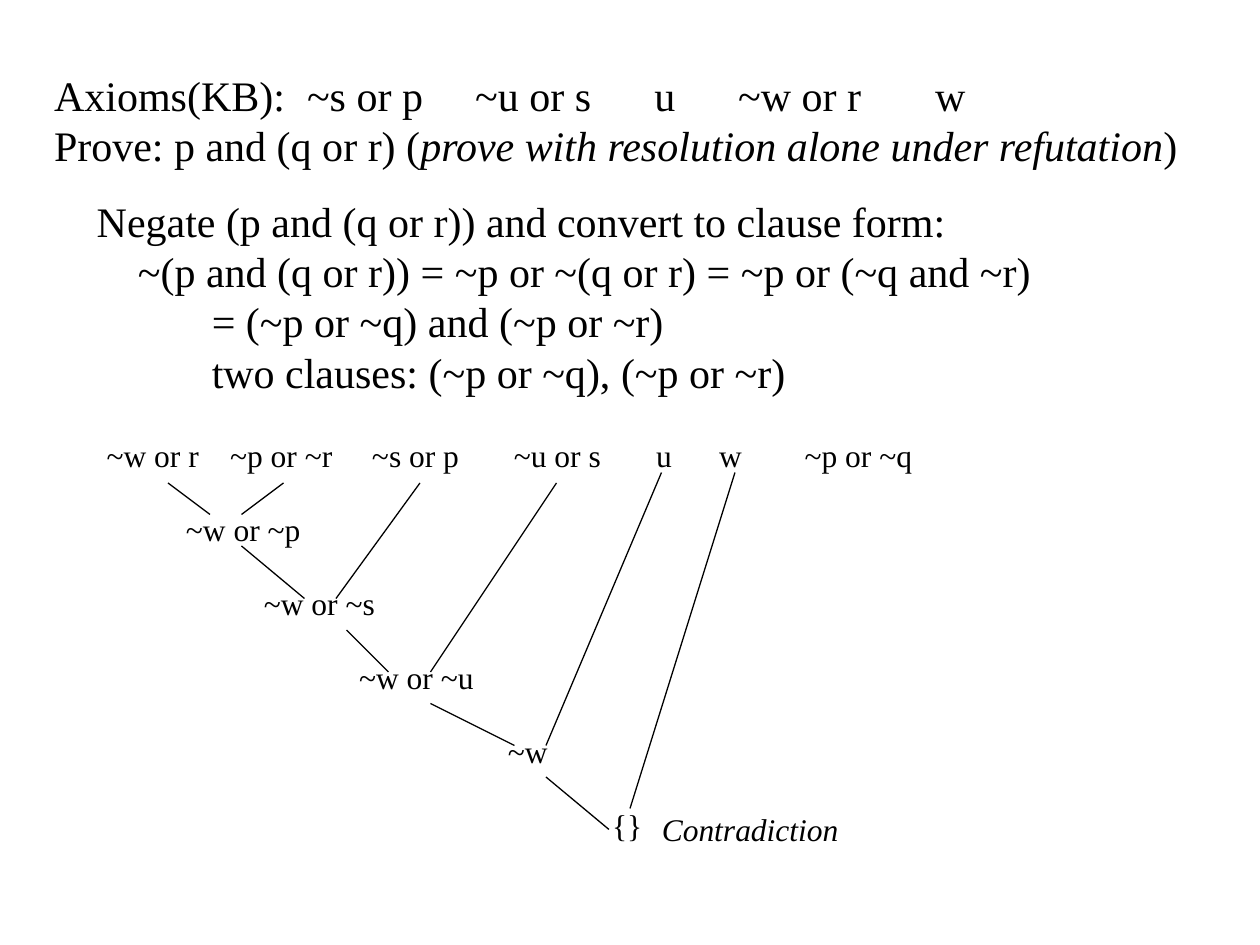
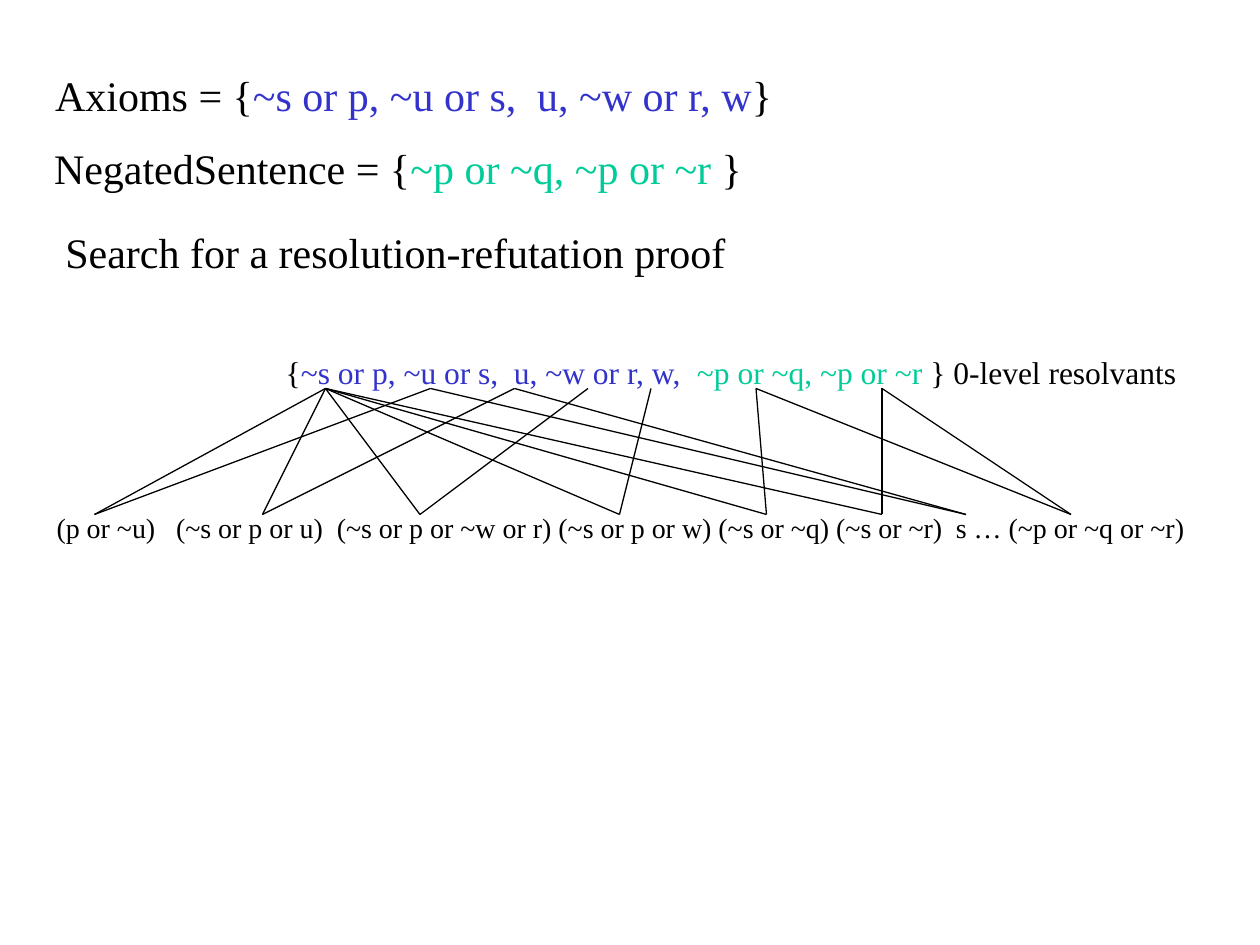
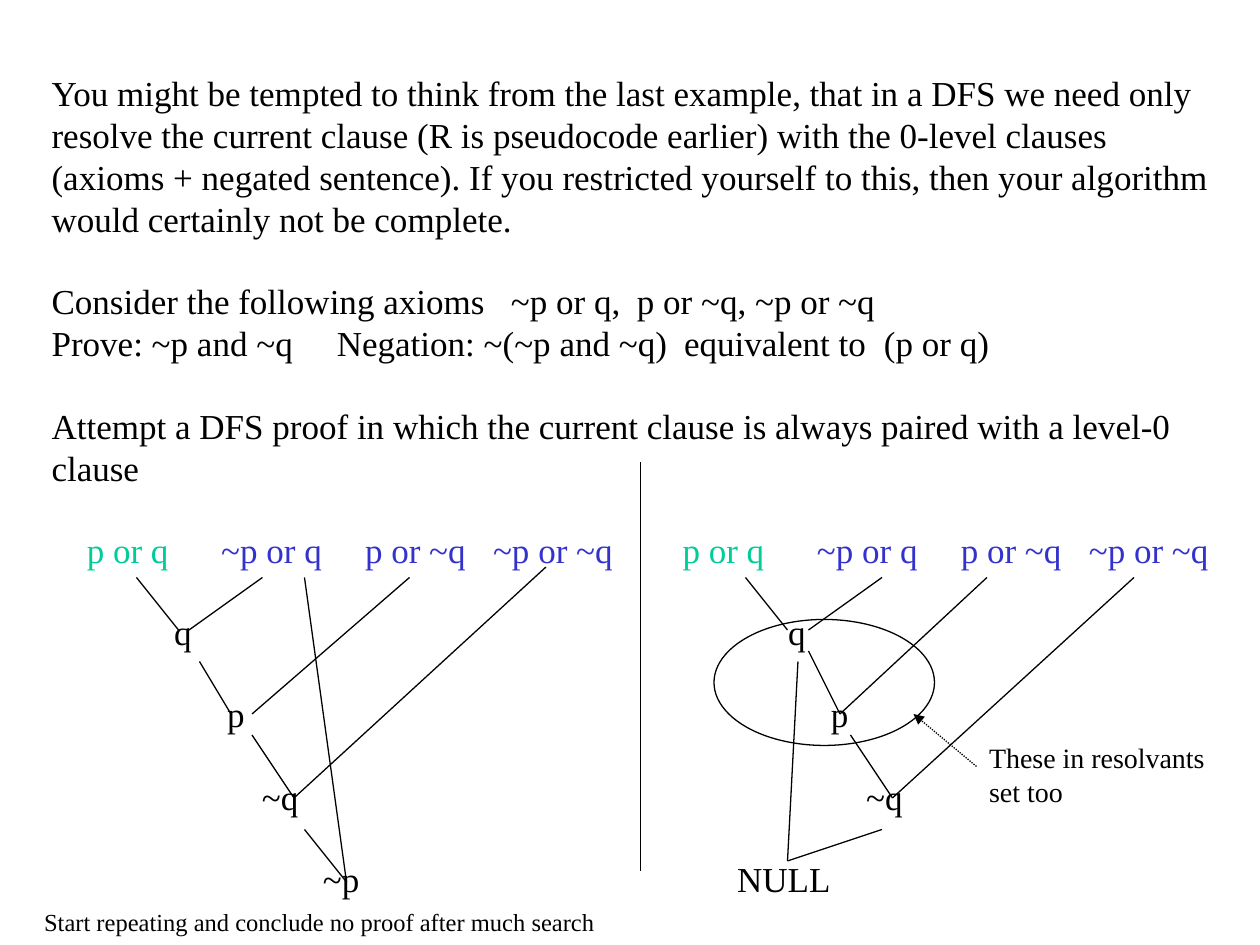
from lxml import etree
from pptx import Presentation
from pptx.dml.color import RGBColor
from pptx.enum.dml import MSO_LINE
from pptx.enum.shapes import MSO_CONNECTOR, MSO_SHAPE
from pptx.oxml.ns import qn
from pptx.util import Cm, Pt

STRAIGHT, OVAL = MSO_CONNECTOR.STRAIGHT, MSO_SHAPE.OVAL
DOTTED = MSO_LINE.ROUND_DOT
COLORS = {"ink": "000000", "axiom": "3333CC", "negated": "00CC99"}
FONT = "Times New Roman"
GRID = 2.54 / 12    # lines and ovals sit on a grid of twelve steps an inch
INSET = 0.25
LINE_HEIGHT = 1.15  # of the text size


def cell(text, at=None, **text_format):
    """A piece of a row; `at` is its distance in cm from the slide's left edge."""
    return text, at, text_format


def axiom(text, at=None):
    return cell(text, at, color="axiom")


def negated(text, at=None):
    return cell(text, at, color="negated")


GAP = None  # stands for one line of space above the next row

# Each block: left, top, width, height in cm, text size, rows of cells
PROOF_BLOCKS = [
    (0.84, 1.27, 23.5, 2.29, 24, [
        [cell("Axioms(KB):"), cell("~s or p", 6.19), cell("~u or s", 9.58),
         cell("u", 13.19), cell("~w or r", 14.88), cell("w", 18.85)],
        [cell("Prove: p and (q or r) ("),
         cell("prove with resolution alone under refutation", italic=True), cell(")")],
    ]),
    (1.7, 3.81, 19.8, 4.32, 24, [
        [cell("Negate (p and (q or r)) and convert to clause form:")],
        [cell("~(p and (q or r)) = ~p or ~(q or r) = ~p or (~q and ~r)", 2.78)],
        [cell("= (~p or ~q) and (~p or ~r)", 4.27)],
        [cell("two clauses: (~p or ~q), (~p or ~r)", 4.27)],
    ]),
    (1.9, 8.66, 17.6, 8.64, 18, [
        [cell("~w or r"), cell("~p or ~r", 4.64), cell("~s or p", 7.5),
         cell("~u or s", 10.36), cell("u", 13.23), cell("w", 14.5),
         cell("~p or ~q", 16.22)],
        GAP, [cell("~w or ~p", 3.75)],
        GAP, [cell("~w or ~s", 5.32)],
        GAP, [cell("~w or ~u", 7.24)],
        GAP, [cell("~w", 10.24)],
        GAP, [cell("{}", 12.34)],
    ]),
    (12.88, 16, 4.5, 1.27, 24, [
        [cell(" "), cell("Contradiction", size=18, italic=True)],
    ]),
]
# Lines: x1, y1, x2, y2 in grid steps
PROOF_LINES = [
    (16, 46, 20, 49), (27, 46, 23, 49), (23, 52, 29, 57), (40, 46, 32, 57),
    (33, 60, 37, 64), (53, 46, 41, 64), (41, 67, 49, 71), (63, 45, 52, 71),
    (52, 74, 58, 79), (70, 45, 60, 77),
]

SEARCH_BLOCKS = [
    (0.86, 1.27, 15.3, 1.27, 24, [
        [cell("Axioms = {"), axiom("~s or p, ~u or s,"),
         axiom("u, ~w or r, w", 10.83), cell("}")],
    ]),
    (0.84, 2.74, 14.7, 1.27, 24, [
        [cell("NegatedSentence = {"), negated("~p or ~q, ~p or ~r "), cell("}")],
    ]),
    (1.07, 4.45, 14.1, 1.27, 24, [[cell("Search for a resolution-refutation proof")]]),
    (5.51, 6.99, 18.8, 1.02, 18, [
        [cell("{"), axiom("~s or p, ~u or s,"), axiom("u, ~w or r, w,", 10.36),
         negated("~p or ~q, ~p or ~r ", 14.05), cell("} 0-level resolvants")],
    ]),
    (0.89, 10.16, 23.6, 0.94, 16, [
        [cell("(p or ~u)"), cell("(~s or p or u)", 3.55),
         cell("(~s or p or ~w or r) (~s or p or w) (~s or ~q) (~s or ~r)", 6.79),
         cell("s … (~p or ~q or ~r)", 19.27)],
    ]),
]
# Horizontal place of each resolvant, with those of its two parents
RESOLVANT_PARENTS = {
    9: (31, 41), 25: (31, 49), 40: (31, 56), 59: (31, 62),
    73: (31, 72), 84: (31, 84), 92: (41, 49), 102: (72, 84),
}
PARENT_Y, RESOLVANT_Y = 37, 49
SEARCH_LINES = [(parent, PARENT_Y, resolvant, RESOLVANT_Y)
                for resolvant, parents in RESOLVANT_PARENTS.items()
                for parent in parents]

RIGHT_TREE = 12.01  # cm from the left tree's clauses to the right tree's
LEVEL_0 = [c for shift in (0, RIGHT_TREE) for c in (
    negated("p or q", 1.75 + shift), axiom("~p or q", 4.46 + shift),
    axiom("p or ~q", 7.36 + shift), axiom("~p or ~q", 9.94 + shift))]
DFS_BLOCKS = [
    (0.79, 1.32, 24.3, 17.2, 20, [
        [cell("You might be tempted to think from the last example, "
              "that in a DFS we need only")],
        [cell("resolve the current clause (R is pseudocode earlier) "
              "with the 0-level clauses")],
        [cell("(axioms + negated sentence). If you restricted yourself to this, "
              "then your algorithm")],
        [cell("would certainly not be complete.")],
        GAP,
        [cell("Consider the following axioms"), cell("~p or q,", 10.3),
         cell("p or ~q, ~p or ~q", 12.84)],
        [cell("Prove: ~p and ~q"), cell("Negation: ~(~p and ~q)", 6.79),
         cell("equivalent to", 13.79), cell("(p or q)", 17.82)],
        GAP,
        [cell("Attempt a DFS proof in which the current clause is always paired "
              "with a level-0")],
        [cell("clause")],
        GAP, LEVEL_0,
        GAP, [cell("q", 3.51), cell("q", 15.89)],
        GAP, [cell("p", 4.58), cell("p", 16.75)],
        GAP, [cell("~q", 5.28), cell("~q", 17.46)],
        GAP, [cell("~p", 6.51), cell("NULL", 14.86)],
    ]),
    (0.64, 18.16, 11.9, 0.86, 14, [
        [cell("Start repeating and conclude no proof after much search")],
    ]),
    (19.69, 14.81, 5.1, 1.63, 16, [
        [cell("These in resolvants")], [cell("set too")],
    ]),
]
DFS_LINES = [
    (13, 55, 17, 60), (25, 55, 18, 60), (19, 63, 22, 68), (39, 55, 24, 68),
    (24, 70, 28, 76), (52, 54, 28, 76), (29, 79, 33, 84), (29, 55, 33, 84),
    (61, 44, 61, 83),
    (71, 55, 75, 60), (84, 55, 77, 60), (77, 62, 80, 68), (94, 55, 80, 68),
    (81, 70, 85, 76), (108, 55, 85, 76), (76, 63, 75, 82), (84, 79, 75, 82),
]
RESOLVANTS_OVAL = (68, 59, 21, 12)
RESOLVANTS_ARROW = (93, 73, 87, 68)


def on_grid(steps):
    return [Cm(step * GRID) for step in steps]


def add_text(paragraph, text, size, color="ink", italic=False):
    run = paragraph.add_run()
    run.text = text
    run.font.name, run.font.size, run.font.italic = FONT, Pt(size), italic
    run.font.color.rgb = RGBColor.from_string(COLORS[color])


def set_tabs(paragraph, positions):
    tabs = etree.SubElement(paragraph._p.get_or_add_pPr(), qn("a:tabLst"))
    for position in positions:
        etree.SubElement(tabs, qn("a:tab"), pos=str(int(Cm(position))), algn="l")


def add_block(slide, left, top, width, height, size, rows):
    frame = slide.shapes.add_textbox(Cm(left), Cm(top), Cm(width), Cm(height)).text_frame
    frame.word_wrap = True
    text_left = left + INSET
    paragraph, gap = frame.paragraphs[0], False
    for index, row in enumerate(rows):
        if row is GAP:
            gap = True
            continue
        if index:
            paragraph = frame.add_paragraph()
        if gap:
            paragraph.space_before = Pt(size * LINE_HEIGHT)
            gap = False
        stops = [at - text_left for _, at, _ in row if at is not None]
        if stops:
            set_tabs(paragraph, stops)
        for text, at, text_format in row:
            tab = "" if at is None else "\t"
            add_text(paragraph, tab + text, **{"size": size, **text_format})


def style_line(line):
    line.color.rgb = RGBColor.from_string(COLORS["ink"])
    line.width = Pt(0.75)


def add_line(slide, ends):
    connector = slide.shapes.add_connector(STRAIGHT, *on_grid(ends))
    style_line(connector.line)
    etree.SubElement(connector._element.spPr, qn("a:effectLst"))
    return connector.line


def add_slide(deck, blocks, lines):
    slide = deck.slides.add_slide(deck.slide_layouts[6])
    for block in blocks:
        add_block(slide, *block)
    for ends in lines:
        add_line(slide, ends)
    return slide


def main():
    deck = Presentation()
    deck.slide_width, deck.slide_height = Cm(25.4), Cm(19.05)
    add_slide(deck, PROOF_BLOCKS, PROOF_LINES)
    add_slide(deck, SEARCH_BLOCKS, SEARCH_LINES)
    dfs = add_slide(deck, DFS_BLOCKS, DFS_LINES)

    oval = dfs.shapes.add_shape(OVAL, *on_grid(RESOLVANTS_OVAL))
    oval.shadow.inherit = False
    oval.fill.background()
    style_line(oval.line)

    arrow = add_line(dfs, RESOLVANTS_ARROW)
    arrow.dash_style = DOTTED
    etree.SubElement(arrow._get_or_add_ln(), qn("a:tailEnd"), type="triangle")
    deck.save("out.pptx")


if __name__ == "__main__":
    main()
